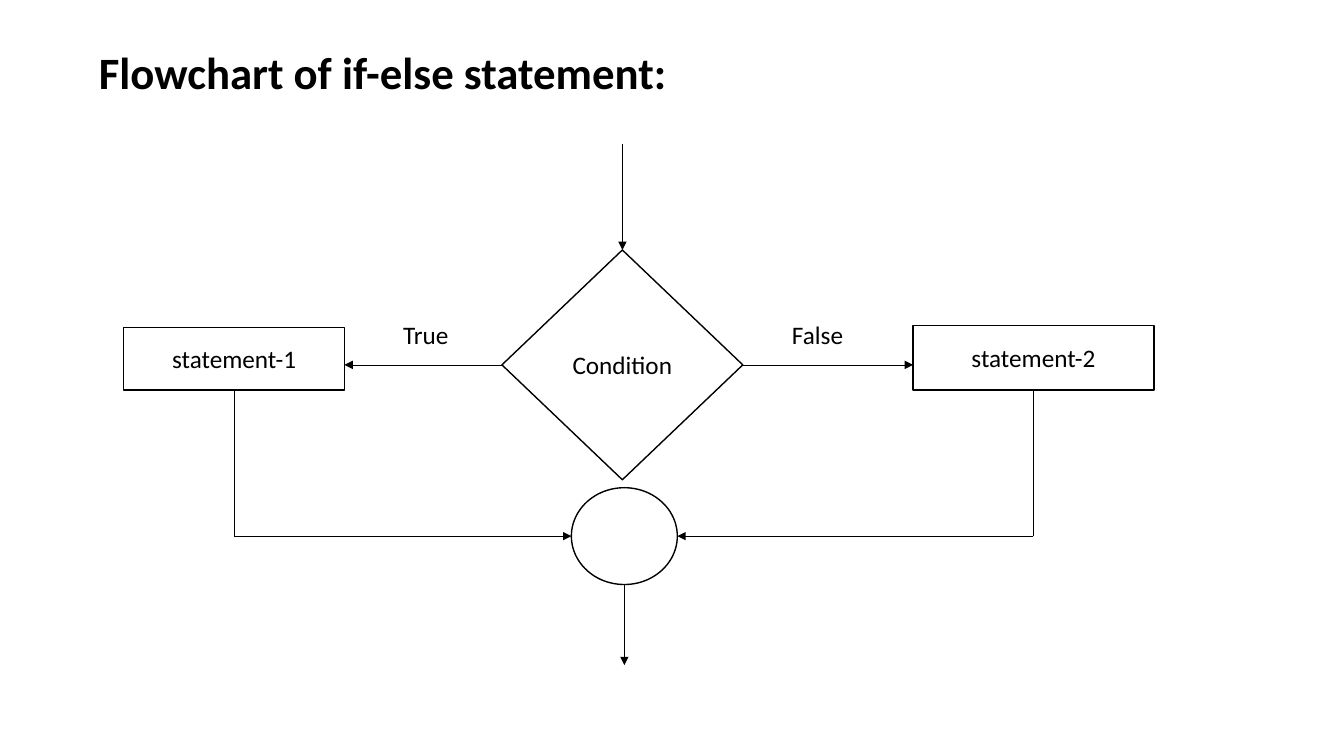
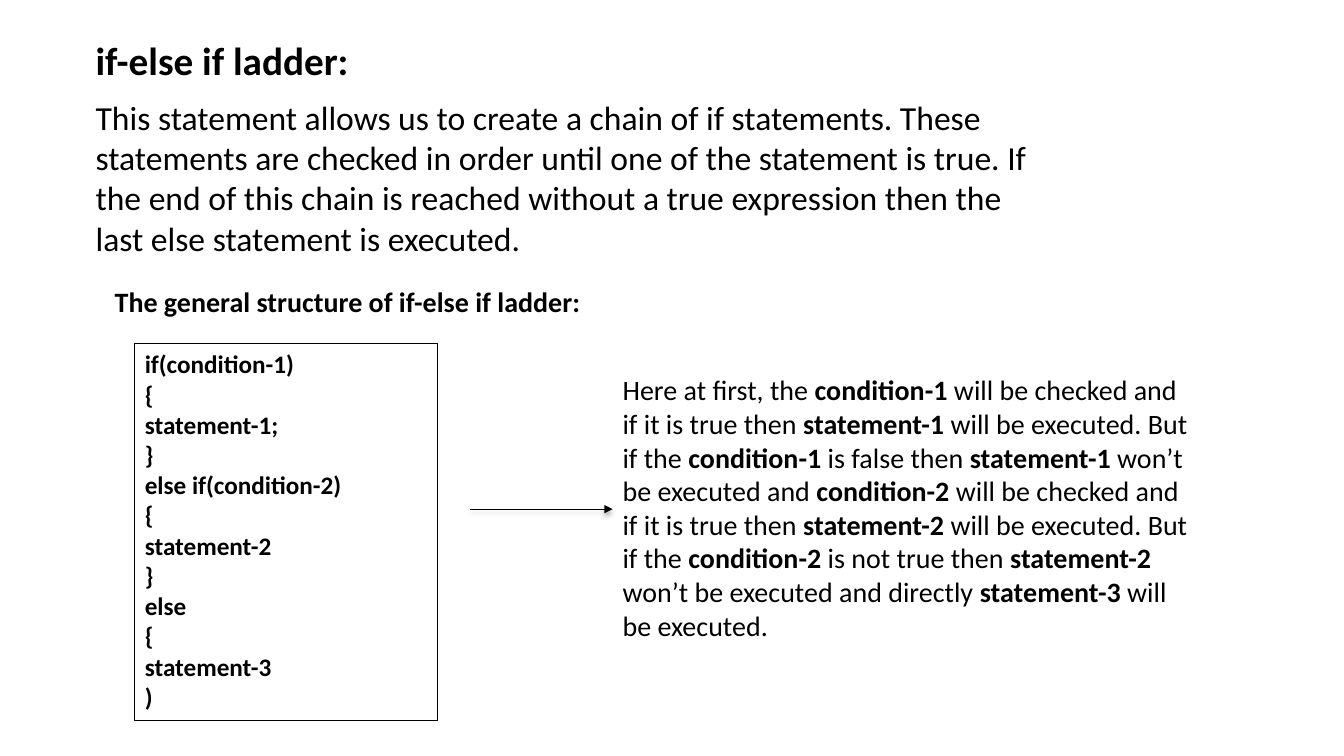
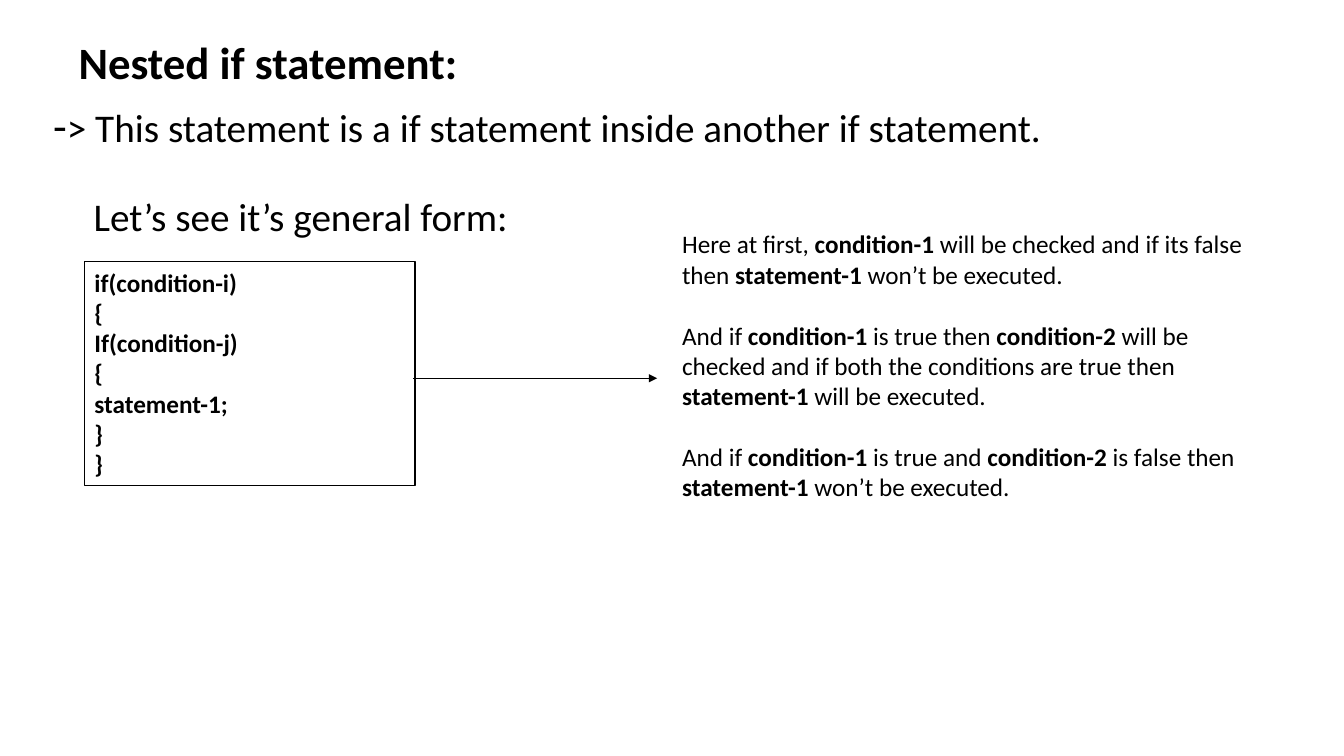
from dataclasses import dataclass

from pptx import Presentation
from pptx.dml.color import RGBColor as RGB
from pptx.enum.shapes import MSO_CONNECTOR as Conn, MSO_SHAPE as Geo
from pptx.enum.text import MSO_ANCHOR as Anchor, MSO_AUTO_SIZE as Fit, PP_ALIGN as Align
from pptx.oxml import parse_xml
from pptx.oxml.ns import nsdecls
from pptx.slide import Slide
from pptx.text.text import TextFrame
from pptx.util import Cm, Pt


@dataclass(frozen=True)
class Theme:
    font: str = "Calibri"
    ink: RGB = RGB(0, 0, 0)
    paper: RGB = RGB(255, 255, 255)
    title: int = 32
    subtitle: int = 28
    lead: int = 24
    body: int = 20
    small: int = 18
    node_line: float = 1
    code_line: float = 0.75
    arrow_line: float = 0.5


@dataclass(frozen=True)
class Box:
    """A rectangle in centimetres."""
    x: float
    y: float
    w: float
    h: float

    @property
    def right(self) -> float:
        return self.x + self.w

    @property
    def bottom(self) -> float:
        return self.y + self.h

    @property
    def mid_x(self) -> float:
        return self.x + self.w / 2

    @property
    def mid_y(self) -> float:
        return self.y + self.h / 2

    def emu(self) -> tuple[Cm, Cm, Cm, Cm]:
        return Cm(self.x), Cm(self.y), Cm(self.w), Cm(self.h)


@dataclass(frozen=True)
class Label:
    """Text in which ** switches bold on and off."""
    box: Box
    text: str
    size: int
    gap: int = 0


@dataclass(frozen=True)
class Node:
    geo: Geo
    box: Box
    text: str = ""


@dataclass(frozen=True)
class Line:
    x1: float
    y1: float
    x2: float
    y2: float
    arrow: bool = True
    shadow: bool = False


T = Theme()
SHADOW = ('<a:outerShdw blurRad="44450" dist="27940" dir="5400000" rotWithShape="0">'
          '<a:srgbClr val="000000"><a:alpha val="32000"/></a:srgbClr></a:outerShdw>')


# Drawing functions
def write(tf: TextFrame, text: str, size: int, gap: int = 0) -> None:
    tf.word_wrap = True
    bold = False
    for i, row in enumerate(text.split("\n")):
        p = tf.add_paragraph() if i else tf.paragraphs[0]
        p.space_before = Pt(gap if i else 0)
        p.alignment = Align.LEFT
        for j, part in enumerate(row.split("**")):
            if j:
                bold = not bold
            if part:
                r = p.add_run()
                r.text = part
                r.font.name, r.font.size, r.font.bold = T.font, Pt(size), bold
                r.font.color.rgb = T.ink


def draw_label(s: Slide, label: Label) -> TextFrame:
    tf = s.shapes.add_textbox(*label.box.emu()).text_frame
    write(tf, label.text, label.size, label.gap)
    tf.auto_size = Fit.SHAPE_TO_FIT_TEXT
    return tf


def draw_node(s: Slide, node: Node) -> None:
    sp = s.shapes.add_shape(node.geo, *node.box.emu())
    sp.shadow.inherit = False
    sp.fill.solid()
    sp.fill.fore_color.rgb = T.paper
    sp.line.color.rgb = T.ink
    sp.line.width = Pt(T.node_line)
    tf = sp.text_frame
    write(tf, node.text, T.small)
    tf.vertical_anchor = Anchor.MIDDLE
    tf.paragraphs[0].alignment = Align.CENTER


def draw_code(s: Slide, box: Box, code: str) -> None:
    sp = s.shapes.add_shape(Geo.RECTANGLE, *box.emu())
    sp.shadow.inherit = False
    sp.fill.background()
    sp.line.color.rgb = T.ink
    sp.line.width = Pt(T.code_line)
    tf = sp.text_frame
    write(tf, f"**{code}**", T.small)
    tf.vertical_anchor = Anchor.TOP
    tf.auto_size = Fit.SHAPE_TO_FIT_TEXT


def draw_line(s: Slide, line: Line) -> None:
    ends = (Cm(v) for v in (line.x1, line.y1, line.x2, line.y2))
    cx = s.shapes.add_connector(Conn.STRAIGHT, *ends)
    cx.line.color.rgb = T.ink
    cx.line.width = Pt(T.arrow_line)
    if line.arrow:
        ln = cx.line._get_or_add_ln()
        ln.append(parse_xml(f'<a:tailEnd {nsdecls("a")} type="triangle"/>'))
    effect = SHADOW if line.shadow else ""
    cx._element.spPr.append(parse_xml(f'<a:effectLst {nsdecls("a")}>{effect}</a:effectLst>'))


def add_slide(labels: list[Label]) -> Slide:
    s = prs.slides.add_slide(prs.slide_layouts[6])
    for label in labels:
        draw_label(s, label)
    return s


prs = Presentation()
prs.slide_width, prs.slide_height = Cm(33.87), Cm(19.05)

# Slide 1: if-else flowchart
s = add_slide([
    Label(Box(2.24, 0.99, 23.85, 1.63), "**Flowchart of if-else statement:**", T.title),
    Label(Box(9.91, 7.92, 2.74, 1.02), "True", T.small),
    Label(Box(19.71, 7.92, 2.44, 1.02), "False", T.small),
])
choice = Box(12.65, 6.3, 6.07, 5.79)
yes = Box(3.12, 8.26, 5.56, 1.57)
no = Box(23.01, 8.2, 6.07, 1.63)
join = Box(14.4, 12.29, 2.67, 2.44)
for line in (
    Line(choice.mid_x, 3.63, choice.mid_x, choice.y),
    Line(choice.x, choice.mid_y, yes.right, choice.mid_y),
    Line(choice.right, choice.mid_y, no.x, choice.mid_y),
    Line(yes.mid_x, yes.bottom, yes.mid_x, join.mid_y, arrow=False),
    Line(yes.mid_x, join.mid_y, join.x, join.mid_y),
    Line(no.mid_x, no.bottom, no.mid_x, join.mid_y, arrow=False),
    Line(no.mid_x, join.mid_y, join.right, join.mid_y),
    Line(join.mid_x, join.bottom, join.mid_x, 16.76),
):
    draw_line(s, line)
for node in (
    Node(Geo.FLOWCHART_DECISION, choice, "Condition"),
    Node(Geo.FLOWCHART_CONNECTOR, join),
    Node(Geo.FLOWCHART_PROCESS, yes, "statement-1"),
    Node(Geo.FLOWCHART_PROCESS, no, "statement-2"),
):
    draw_node(s, node)

# Slide 2: if-else if ladder
s = add_slide([
    Label(Box(2.16, 0.79, 15.95, 1.45), "**if-else if ladder:**", T.subtitle),
    Label(Box(2.16, 2.31, 24, 4.37),
          "This statement allows us to create a chain of if statements. These statements are "
          "checked in order until one of the statement is true. If the end of this chain is "
          "reached without a true expression then the last else statement is executed.", T.lead),
    Label(Box(2.64, 7.04, 14.3, 1.12), "**The general structure of if-else if ladder:**", T.body),
    Label(Box(15.44, 9.27, 14.78, 7.09),
          "Here at first, the **condition-1** will be checked and if it is true then "
          "**statement-1 **will be executed. But if the **condition-1 **is false then "
          "**statement-1 **won’t be executed and **condition-2 **will be checked and if it is "
          "true then **statement-2** will be executed. But if the **condition-2 **is not true "
          "then **statement-2** won’t be executed and directly **statement-3 **will be executed.",
          T.body),
])
draw_code(s, Box(3.4, 8.66, 7.62, 9.5),
          "if(condition-1)\n{\nstatement-1;\n}\nelse if(condition-2)\n{\nstatement-2\n}\n"
          "else\n{\nstatement-3\n)")
draw_line(s, Line(11.84, 12.83, 15.44, 12.83, shadow=True))

# Slide 3: nested if
s = add_slide([
    Label(Box(1.73, 0.74, 13.61, 1.63), "**Nested if statement:**", T.title),
    Label(Box(2.11, 4.72, 25.83, 1.45), "Let’s see it’s general form:", T.subtitle),
    Label(Box(16.94, 5.64, 14.81, 7.19),
          "Here at first, **condition-1** will be checked and if its false then **statement-1** "
          "won’t be executed.\n"
          "And if **condition-1** is true then **condition-2** will be checked and if both the "
          "conditions are true then **statement-1** will be executed.\n"
          "And if **condition-1** is true and **condition-2** is false then **statement-1** "
          "won’t be executed.", T.small, gap=22),
])
# The leading dash is larger than the rest of its line
tf = draw_label(s, Label(Box(1.09, 2.34, 30.33, 1.63),
                         "-****> This statement is a if statement inside another if statement.",
                         T.subtitle))
tf.paragraphs[0].runs[0].font.size = Pt(T.title)
draw_code(s, Box(2.13, 6.6, 8.33, 5.64),
          "if(condition-i)\n{\nIf(condition-j)\n{\nstatement-1;\n}\n}")
draw_line(s, Line(10.41, 9.53, 16.56, 9.53))

prs.save("out.pptx")
